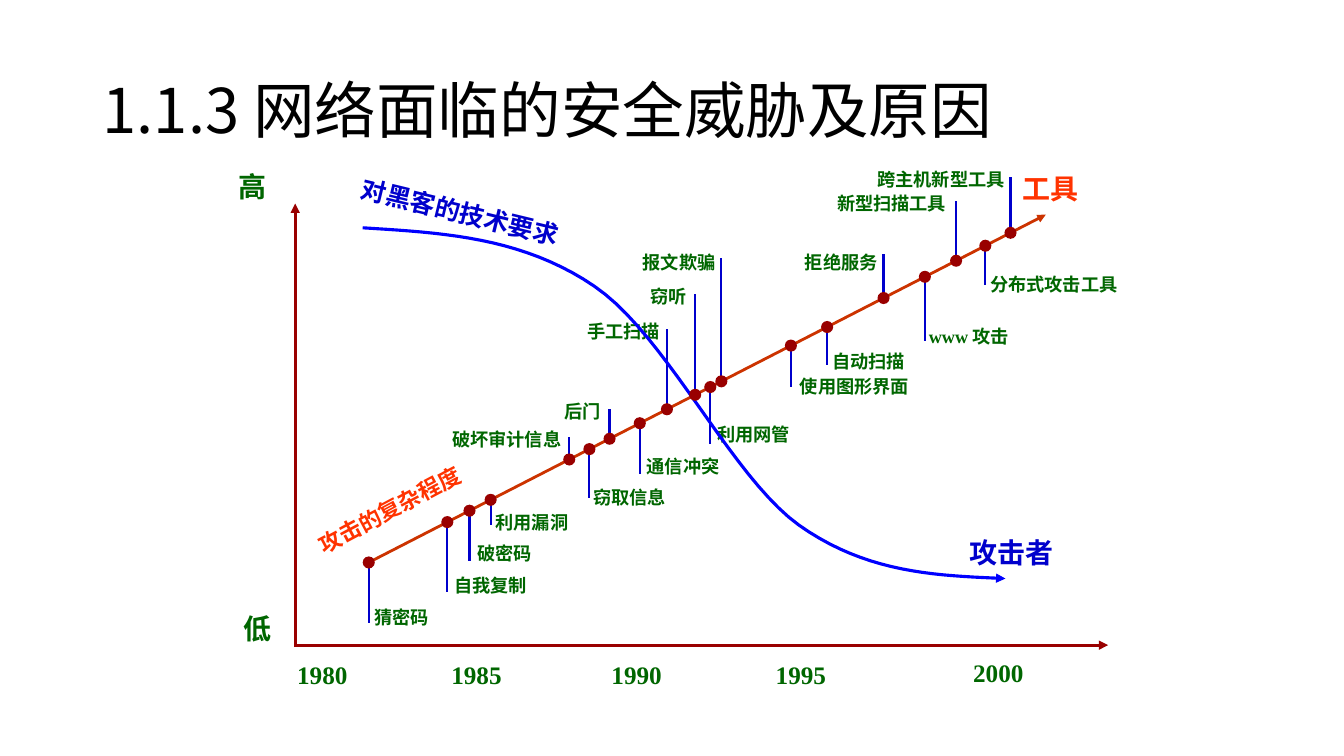
from lxml.etree import SubElement
from pptx import Presentation
from pptx.dml.color import RGBColor
from pptx.enum.shapes import MSO_CONNECTOR, MSO_SHAPE
from pptx.enum.text import MSO_ANCHOR
from pptx.oxml.ns import qn
from pptx.util import Inches, Pt

LATIN, CHINESE = "Times New Roman", "Noto Sans CJK SC"
GREEN, BLUE, ORANGE, DARK_RED = "006600", "0000CC", "FF3300", "990000"
DOT = 0.12

# All chart places are inches from the corner of the chart box.
TREND_START, TREND_END = (1.66, 4.08), (8.38, 0.63)

# attack, place along the trend line, far end of the stem, label left, label top
ATTACKS = [
    ("猜密码", 1.66, 4.68, 1.61, 4.47),
    ("自我复制", 2.44, 4.37, 2.40, 4.15),
    ("破密码", 2.66, 4.07, 2.63, 3.83),
    ("利用漏洞", 2.87, 3.71, 2.81, 3.52),
    ("破坏审计信息", 3.65, 2.84, 2.38, 2.70),
    ("窃取信息", 3.85, 3.44, 3.78, 3.28),
    ("后门", 4.05, 2.56, 3.49, 2.42),
    ("通信冲突", 4.35, 3.20, 4.31, 2.97),
    ("手工扫描", 4.62, 1.76, 3.72, 1.63),
    ("窃听", 4.90, 1.42, 4.35, 1.28),
    ("利用网管", 5.05, 2.90, 5.01, 2.65),
    ("报文欺骗", 5.16, 1.06, 4.27, 0.94),
    ("使用图形界面", 5.85, 2.34, 5.83, 2.17),
    ("自动扫描", 6.21, 2.12, 6.15, 1.93),
    ("拒绝服务", 6.77, 1.02, 5.88, 0.94),
    ("www 攻击", 7.18, 1.88, 7.11, 1.68),
    ("新型扫描工具", 7.49, 0.49, 6.20, 0.36),
    ("分布式攻击工具", 7.78, 1.33, 7.72, 1.16),
    ("跨主机新型工具", 8.03, 0.26, 6.60, 0.12),
]
YEARS = [("1980", 0.84, 4.99), ("1985", 2.37, 4.99), ("1990", 3.96, 4.99),
         ("1995", 5.59, 4.99), ("2000", 7.55, 4.97)]
HEADINGS = [("高", 0.26, 0.13, GREEN), ("低", 0.31, 4.52, GREEN),
            ("工具", 8.04, 0.15, ORANGE), ("攻击者", 7.51, 3.76, BLUE)]
SKILL_CURVE = [(1.60, 0.76), (2.39, 0.81), (3.18, 0.85), (3.90, 1.34), (4.62, 1.83),
               (5.25, 3.22), (5.93, 3.71), (6.61, 4.19), (7.29, 4.21), (7.98, 4.24)]


def color(value):
    return RGBColor.from_string(value)


def write(box, text, size, hue, font, bold):
    para = box.text_frame.paragraphs[0]
    para.text = text
    for span in para.runs:
        span.font.size, span.font.bold = Pt(size), bold
        span.font.color.rgb = color(hue)
        span.font.name = font
        SubElement(span.font._element, qn("a:ea"), typeface=CHINESE)
    return para


def add_label(page, text, left, top, size, hue, width=None, rotation=0):
    """Add a bold label, as wide as its Chinese characters unless a width is given."""
    width = width or len(text) * size / 72 + 0.26
    box = page.shapes.add_textbox(Inches(left), Inches(top), Inches(width),
                                  Inches(size * 1.2 / 72 + 0.11))
    box.rotation = rotation
    frame = box.text_frame
    frame.word_wrap = True
    frame.margin_left = frame.margin_right = Inches(0.11)
    write(box, text, size, hue, LATIN, True)


def style_line(shape, hue, weight, arrow):
    shape.line.color.rgb = color(hue)
    shape.line.width = Pt(weight)
    if arrow:
        SubElement(shape.line._get_or_add_ln(), qn("a:tailEnd"), type="triangle")


def add_line(page, left, top, start, end, hue, weight, arrow=False):
    line = page.shapes.add_connector(
        MSO_CONNECTOR.STRAIGHT, Inches(left + start[0]), Inches(top + start[1]),
        Inches(left + end[0]), Inches(top + end[1]))
    style_line(line, hue, weight, arrow)
    SubElement(line._element.spPr, qn("a:effectLst"))


def trend_height(x):
    (x1, y1), (x2, y2) = TREND_START, TREND_END
    return y1 + (x - x1) * (y2 - y1) / (x2 - x1)


def curve_points(controls, steps=20):
    """Sample a chain of cubic Bezier curves."""
    points = [controls[0]]
    for first in range(0, len(controls) - 1, 3):
        for step in range(1, steps + 1):
            t = step / steps
            weights = ((1 - t) ** 3, 3 * t * (1 - t) ** 2, 3 * t * t * (1 - t), t ** 3)
            points.append(tuple(
                sum(weight * control[axis] for weight, control
                    in zip(weights, controls[first:first + 4])) for axis in (0, 1)))
    return points


def add_skill_curve(page, left, top):
    points = [(Inches(left + x), Inches(top + y)) for x, y in curve_points(SKILL_CURVE)]
    builder = page.shapes.build_freeform(*points[0])
    builder.add_line_segments(points[1:], close=False)
    curve = builder.convert_to_shape()
    curve.shadow.inherit = False
    curve.fill.background()
    style_line(curve, "0000FF", 2.25, True)


def add_dot(page, x, y):
    dot = page.shapes.add_shape(MSO_SHAPE.OVAL, Inches(x - DOT / 2), Inches(y - DOT / 2),
                                Inches(DOT), Inches(DOT))
    dot.shadow.inherit = False
    dot.fill.solid()
    dot.fill.fore_color.rgb = color(DARK_RED)
    dot.line.fill.background()


def add_title(page, left, top, width, height):
    box = page.shapes.add_textbox(Inches(left), Inches(top), Inches(width), Inches(height))
    box.text_frame.word_wrap = True
    box.text_frame.vertical_anchor = MSO_ANCHOR.MIDDLE
    para = write(box, "1.1.3 网络面临的安全威胁及原因", 44, "000000", CHINESE, False)
    para.line_spacing = 0.9


def add_attack_chart(page, left, top):
    add_line(page, left, top, (0.93, 4.92), (0.93, 0.52), DARK_RED, 2.25, True)
    add_line(page, left, top, (0.93, 4.90), (9.00, 4.90), DARK_RED, 2.25, True)
    for year, x, y in YEARS:
        add_label(page, year, left + x, top + y, 18, GREEN, 0.8)
    for heading, x, y, hue in HEADINGS:
        add_label(page, heading, left + x, top + y, 20, hue)

    add_line(page, left, top, TREND_START, TREND_END, "CC3300", 2, True)
    for attack, x, stem_end, label_x, label_y in ATTACKS:
        add_line(page, left, top, (x, trend_height(x)), (x, stem_end), BLUE, 1.5)
        add_label(page, attack, left + label_x, top + label_y, 13, GREEN)
    add_label(page, "对黑客的技术要求", left + 1.44, top + 0.52, 18, BLUE, 3.23, 13.7)
    add_label(page, "攻击的复杂程度", left + 0.98, top + 3.36, 16, ORANGE, 1.83, 332)
    add_skill_curve(page, left, top)
    for _, x, *_ in ATTACKS:
        add_dot(page, left + x, top + trend_height(x))


def main():
    deck = Presentation()
    deck.slide_width, deck.slide_height = Inches(13.34), Inches(7.5)
    page = deck.slides.add_slide(deck.slide_layouts[6])
    add_title(page, 0.92, 0.4, 11.5, 1.45)
    add_attack_chart(page, 2, 1.5)
    deck.save("out.pptx")


if __name__ == "__main__":
    main()
